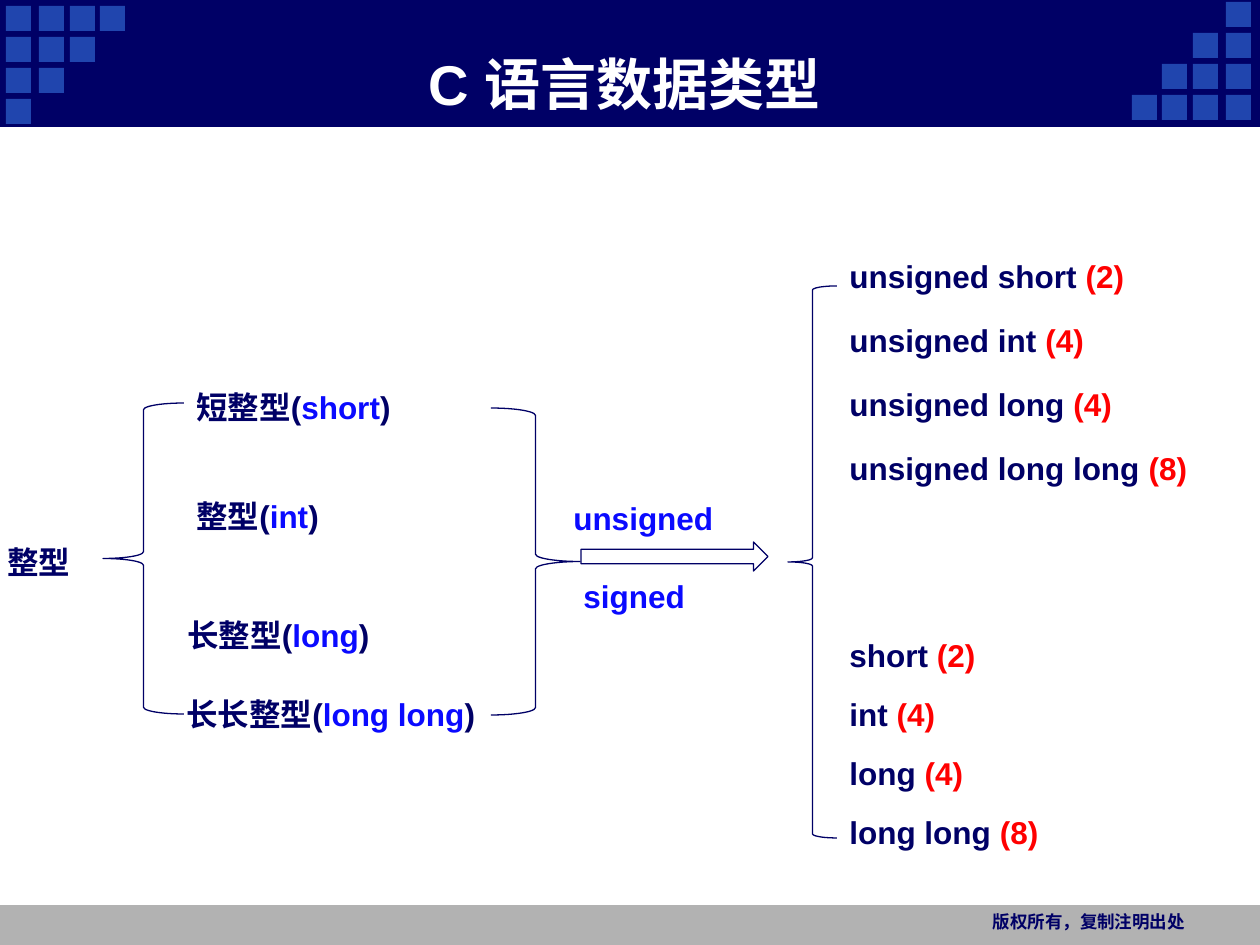
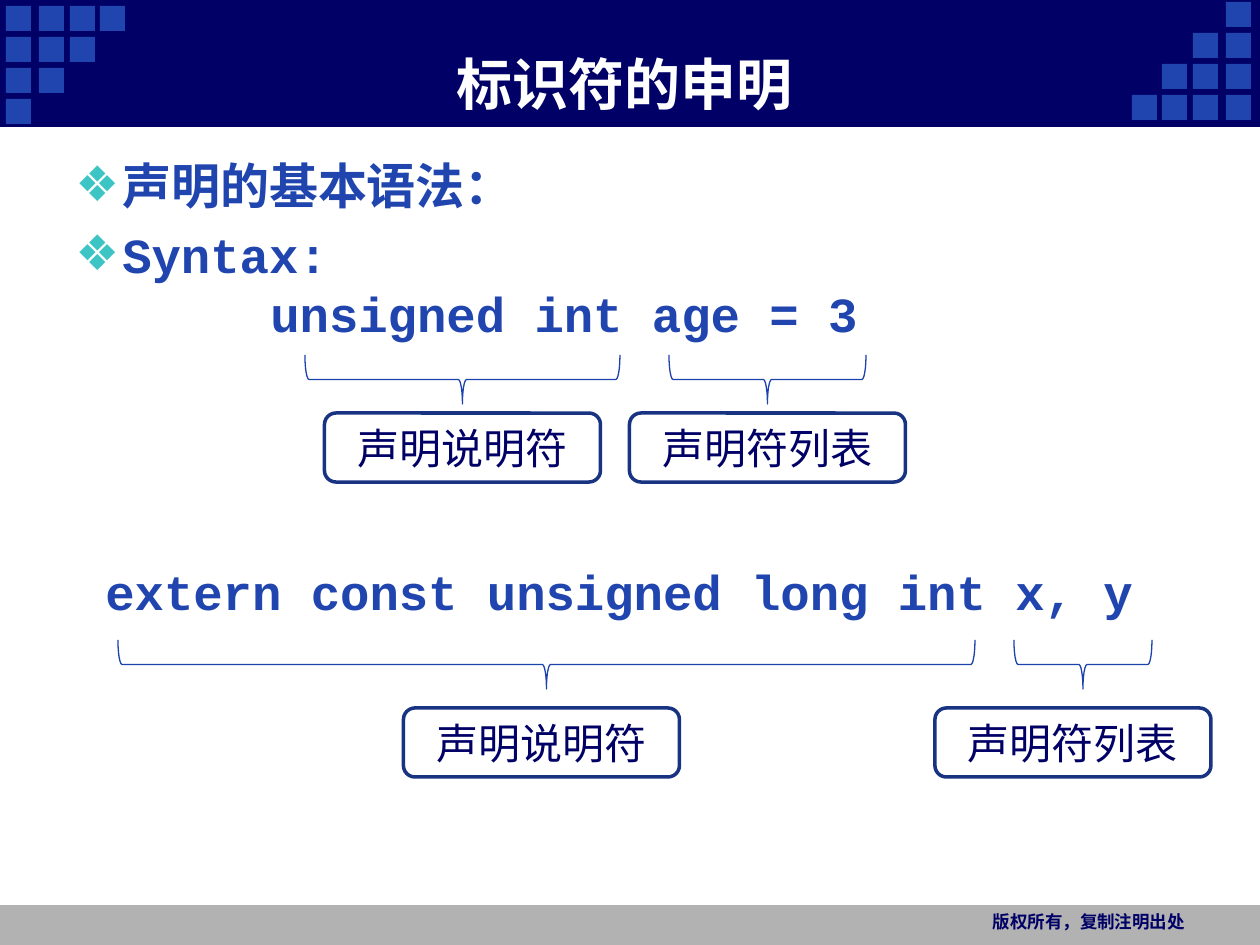
from dataclasses import dataclass

from lxml.etree import SubElement
from pptx import Presentation
from pptx.dml.color import RGBColor
from pptx.enum.shapes import MSO_SHAPE
from pptx.enum.text import MSO_ANCHOR, PP_ALIGN
from pptx.oxml.ns import qn
from pptx.util import Emu, Pt


@dataclass(frozen=True)
class Theme:
    """Colours, fonts and type sizes of the deck."""
    navy: str = "000066"
    tile: str = "2045AE"
    grey: str = "B2B2B2"
    white: str = "FFFFFF"
    blue: str = "0A0AFF"
    red: str = "FF0000"
    teal: str = "3DC5C5"
    brace: str = "1C42AE"
    edge: str = "183381"
    sans: str = "Arial"
    mono: str = "Courier New"
    title: int = 32
    code: int = 28
    label: int = 24
    text: int = 18
    foot: int = 10


THEME = Theme()
WIDE, HIGH = 1260, 945


def px(size):
    """Turn pixels into EMU."""
    return Emu(round(size * 914400 / 126))


def color(code):
    """Give the colour for a hex code."""
    return RGBColor.from_string(code)


def draw(slide, kind, box, fill=None, line=None, width=0.75):
    """Add a preset shape with a plain fill and line."""
    shape = slide.shapes.add_shape(kind, *map(px, box))
    shape.shadow.inherit = False
    if fill:
        shape.fill.solid()
        shape.fill.fore_color.rgb = color(fill)
    else:
        shape.fill.background()
    if line:
        shape.line.color.rgb = color(line)
        shape.line.width = Pt(width)
    else:
        shape.line.fill.background()
    return shape


def write(para, text, size=THEME.text, font=THEME.sans, ink=THEME.navy,
          bold=True, align=PP_ALIGN.LEFT):
    """Add one run of text to a paragraph."""
    para.alignment = align
    run = para.add_run()
    run.text = text
    run.font.size = Pt(size)
    run.font.name = font
    run.font.bold = bold
    run.font.color.rgb = color(ink)


def frame(slide, box, anchor=MSO_ANCHOR.TOP):
    """Add a wrapping text box and return its text frame."""
    body = slide.shapes.add_textbox(*map(px, box)).text_frame
    body.word_wrap = True
    body.vertical_anchor = anchor
    return body


def tiles(slide, left, top, flip=False):
    """Draw a stair of tiles in a corner, turned half round if asked."""
    cols = (0, 33, 64, 94)
    for row in range(4):
        for col in range(4 - row):
            x, y = cols[col], 31 * row
            if flip:
                x, y = cols[-1] - x, 93 - y
            draw(slide, MSO_SHAPE.RECTANGLE, (left + x, top + y, 25, 25),
                 fill=THEME.tile)


def base(deck, title):
    """Add a slide with the title band, tiles and footer."""
    slide = deck.slides.add_slide(deck.slide_layouts[6])
    draw(slide, MSO_SHAPE.RECTANGLE, (0, 905, WIDE, 41), fill=THEME.grey)
    draw(slide, MSO_SHAPE.RECTANGLE, (0, 0, WIDE, 126),
         fill=THEME.navy, line=THEME.navy)
    tiles(slide, 6, 6)
    tiles(slide, 1132, 2, flip=True)
    head = frame(slide, (116, 44, 1018, 78), MSO_ANCHOR.MIDDLE)
    write(head.paragraphs[0], title, size=THEME.title, ink=THEME.white,
          align=PP_ALIGN.CENTER)
    foot = frame(slide, (958, 905, 239, 40))
    write(foot.paragraphs[0], "版权所有，复制注明出处", size=THEME.foot,
          font=THEME.mono, align=PP_ALIGN.RIGHT)
    return slide


def line(slide, left, top, width, *runs):
    """Write a line made of text and colour pairs."""
    para = frame(slide, (left, top, width, 50)).paragraphs[0]
    for text, ink in runs:
        write(para, text, ink=ink)


def kinds(slide, left, top):
    """Draw the whole number kinds between two braces."""
    navy = THEME.navy
    line(slide, left, top + 134, 98, ("整型", navy))
    rows = ((189, -21, 227, "短整型", "short"),
            (189, 88, 178, "整型", "int"),
            (180, 207, 256, "长整型", "long"),
            (179, 286, 404, "长长整型", "long long"))
    for x, y, width, name, word in rows:
        line(slide, left + x, top + y, width,
             (name + "(", navy), (word, THEME.blue), (")", navy))
    draw(slide, MSO_SHAPE.LEFT_BRACE, (left + 108, top, 81, 311), line=navy)
    draw(slide, MSO_SHAPE.RIGHT_BRACE, (left + 496, top + 5, 89, 307),
         line=navy)


def turn(slide, left, top):
    """Draw the arrow with a word above and below."""
    line(slide, left - 20, top - 49, 186, ("unsigned", THEME.blue))
    line(slide, left - 10, top + 29, 137, ("signed", THEME.blue))
    draw(slide, MSO_SHAPE.RIGHT_ARROW, (left, top, 187, 29), line=THEME.navy)


def sizes(slide, left, top):
    """List the types with their sizes beside a brace."""
    draw(slide, MSO_SHAPE.LEFT_BRACE, (left, top, 49, 552), line=THEME.navy)
    types = (("short", 2), ("int", 4), ("long", 4), ("long long", 8))
    for start, step, lead in ((-35, 64, "unsigned "), (344, 59, "")):
        for row, (name, count) in enumerate(types):
            line(slide, left + 49, top + start + step * row, 364,
                 (f"{lead}{name} ", THEME.navy), (f"({count})", THEME.red))


def indent(para, margin, bullet=False):
    """Set the left margin of a paragraph and hang a bullet in it."""
    props = para._p.get_or_add_pPr()
    props.set("marL", str(px(margin)))
    props.set("indent", str(-px(margin) if bullet else 0))
    if bullet:
        tint = SubElement(props, qn("a:buClr"))
        SubElement(tint, qn("a:srgbClr")).set("val", THEME.teal)
        SubElement(props, qn("a:buFont")).set("typeface", THEME.sans)
        SubElement(props, qn("a:buChar")).set("char", "❖")


def syntax(slide, left, top):
    """Write the bullets and the two lines of code."""
    body = frame(slide, (left, top, 1134, 723))
    rows = (("声明的基本语法：", 47, True, 0),
            ("Syntax:", 47, True, 6),
            ("unsigned int age = 3", 195, False, 0),
            ("extern const unsigned long int x, y", 30, False, 125))
    for row, (text, margin, bullet, gap) in enumerate(rows):
        para = body.add_paragraph() if row else body.paragraphs[0]
        indent(para, margin, bullet)
        para.space_before = Pt(gap)
        write(para, text, size=THEME.code, font=THEME.mono, ink=THEME.tile)


def mark(slide, left, top, width, text, shift, drop):
    """Draw a brace under a piece of code and a label below it."""
    deep = 49
    mid = left + width / 2
    box = (mid - deep / 2, top + (deep - width) / 2, deep, width)
    draw(slide, MSO_SHAPE.LEFT_BRACE, box, line=THEME.brace).rotation = 270
    label = draw(slide, MSO_SHAPE.ROUNDED_RECTANGLE,
                 (mid - 138 + shift, top + drop, 276, 69),
                 fill=THEME.white, line=THEME.edge, width=2)
    label.text_frame.vertical_anchor = MSO_ANCHOR.MIDDLE
    write(label.text_frame.paragraphs[0], text, size=THEME.label,
          font=THEME.mono, bold=False, align=PP_ALIGN.CENTER)


def main():
    """Build both slides and save the deck."""
    deck = Presentation()
    deck.slide_width, deck.slide_height = px(WIDE), px(HIGH)

    slide = base(deck, "C 语言数据类型")
    kinds(slide, -5, 403)
    turn(slide, 581, 542)
    sizes(slide, 788, 286)

    slide = base(deck, "标识符的申明")
    syntax(slide, 63, 149)
    names, items = "声明说明符", "声明符列表"
    mark(slide, 305, 355, 315, names, 0, 58)
    mark(slide, 669, 355, 197, items, 0, 58)
    mark(slide, 118, 640, 857, names, -5, 68)
    mark(slide, 1014, 640, 138, items, -10, 68)

    deck.save("out.pptx")


if __name__ == "__main__":
    main()
